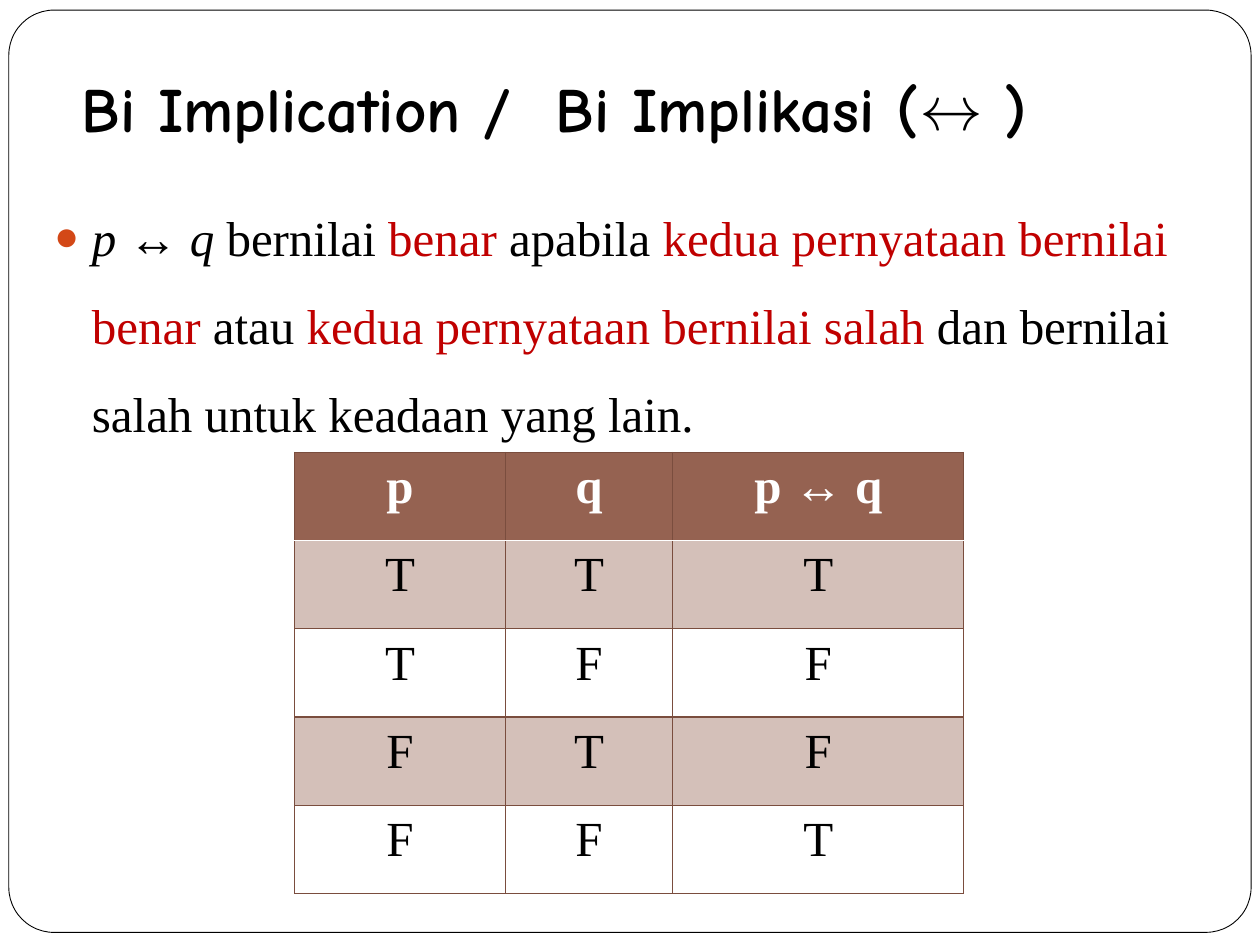
from lxml.etree import SubElement
from pptx import Presentation
from pptx.dml.color import RGBColor
from pptx.enum.shapes import MSO_SHAPE
from pptx.enum.text import MSO_ANCHOR, MSO_AUTO_SIZE, PP_ALIGN
from pptx.oxml.ns import qn
from pptx.util import Inches, Pt

INK = {"black": "000000", "white": "FFFFFF", "red": "C00000",
       "dot": "D34817", "brown": "956251", "edge": "7A4D3E"}
TITLE = "Bi Implication /  Bi Implikasi (↔ )"
BODY = [
    ("p ↔ q ", "black", True),
    ("bernilai ", "black", False),
    ("benar", "red", False),
    (" apabila ", "black", False),
    ("kedua pernyataan bernilai benar", "red", False),
    (" atau ", "black", False),
    ("kedua pernyataan bernilai salah", "red", False),
    (" dan bernilai salah untuk keadaan yang lain.", "black", False),
]
TRUTH = [("p", "q", "p ↔ q"), ("T", "T", "T"), ("T", "F", "F"),
         ("F", "T", "F"), ("F", "F", "T")]
COLS = [1.67, 1.33, 2.31]
ROW = 0.7
HEAD = {"name": "Comic Neue", "size": Pt(36), "bold": True}
SERIF = {"name": "Times New Roman", "size": Pt(28)}
PAD = {"margin_left": Inches(0.12), "margin_right": Inches(0.12),
       "margin_top": Inches(0.06), "margin_bottom": Inches(0.06)}


def apply(item, looks):
    """Set each attribute in looks on item."""
    for name, value in looks.items():
        setattr(item, name, value)


def place(shape, *box):
    """Put shape at left, top, width and height in inches."""
    apply(shape, dict(zip(("left", "top", "width", "height"), map(Inches, box))))


def write(para, text, tone, looks):
    """Add a formatted run to para."""
    run = para.add_run()
    run.text = text
    apply(run.font, looks)
    run.font.color.rgb = RGBColor.from_string(INK[tone])


def node(root, tag, **attrs):
    """Add a drawing element with attributes."""
    return SubElement(root, qn("a:" + tag), attrs)


def frame(slide):
    """Draw the rounded border behind the text."""
    box = slide.shapes.add_shape(MSO_SHAPE.ROUNDED_RECTANGLE, 0, 0, 0, 0)
    place(box, 0.07, 0.08, 9.86, 7.32)
    box.adjustments[0] = 0.049
    box.shadow.inherit = False
    box.fill.solid()
    box.fill.fore_color.rgb = RGBColor.from_string(INK["white"])
    box.line.color.rgb = RGBColor.from_string(INK["black"])
    box.line.width = Pt(0.5)
    slide.shapes._spTree.insert(2, box._element)


def title(shape):
    """Fill the heading."""
    place(shape, 0.55, 0.46, 8.95, 0.79)
    apply(shape.text_frame, {
        "vertical_anchor": MSO_ANCHOR.BOTTOM, "auto_size": MSO_AUTO_SIZE.NONE,
        "margin_bottom": Inches(0.1)})
    para = shape.text_frame.paragraphs[0]
    para.alignment = PP_ALIGN.LEFT
    write(para, TITLE, "black", HEAD)


def body(shape):
    """Fill the bulleted statement."""
    place(shape, 0.33, 1.36, 9.3, 1.85)
    shape.text_frame.auto_size = MSO_AUTO_SIZE.NONE
    para = shape.text_frame.paragraphs[0]
    para.line_spacing = 1.5
    props = para._p.get_or_add_pPr()
    props.set("marL", str(Inches(0.3)))
    props.set("indent", str(-Inches(0.3)))
    node(node(props, "buClr"), "srgbClr", val=INK["dot"])
    node(props, "buSzPct", val="85000")
    node(props, "buFont", typeface=SERIF["name"])
    node(props, "buChar", char="●")
    for text, tone, slant in BODY:
        write(para, text, tone, SERIF | {"italic": slant})


def edges(cell, row):
    """Draw the four borders of a cell."""
    rule = {side: ("edge", 0.75) for side in "LRTB"}
    if row < 2:
        rule["T" if row else "B"] = ("white", 1)
    for side, (tone, width) in rule.items():
        line = node(cell._tc.get_or_add_tcPr(), "ln" + side, w=str(Pt(width)))
        node(node(line, "solidFill"), "srgbClr", val=INK[tone])


def paint(cell, row):
    """Fill a cell by the band of its row."""
    if row and row % 2 == 0:
        cell.fill.background()
        return
    cell.fill.solid()
    cell.fill.fore_color.rgb = RGBColor.from_string(INK["brown"])
    if row:
        tint = cell._tc.tcPr.find(".//" + qn("a:solidFill") + "[last()]")
        tint = cell._tc.tcPr.find(qn("a:solidFill")).find(qn("a:srgbClr"))
        node(tint, "alpha", val="40000")


def table(slide):
    """Build the truth table."""
    grid = slide.shapes.add_table(
        len(TRUTH), len(COLS), Inches(2.34), Inches(3.59),
        Inches(sum(COLS)), Inches(ROW * len(TRUTH))).table
    for col, width in zip(grid.columns, COLS):
        col.width = Inches(width)
    for i, row in enumerate(TRUTH):
        for j, text in enumerate(row):
            cell = grid.cell(i, j)
            apply(cell, PAD)
            edges(cell, i)
            paint(cell, i)
            para = cell.text_frame.paragraphs[0]
            apply(para, {"alignment": PP_ALIGN.CENTER, "space_before": Pt(5.6)})
            write(para, text, "black" if i else "white", SERIF | {"bold": i == 0})


def main():
    """Build and save the slide."""
    deck = Presentation()
    apply(deck, {"slide_width": Inches(10), "slide_height": Inches(7.5)})
    slide = deck.slides.add_slide(deck.slide_layouts[1])
    frame(slide)
    title(slide.shapes.title)
    body(slide.placeholders[1])
    table(slide)
    deck.save("out.pptx")


if __name__ == "__main__":
    main()
